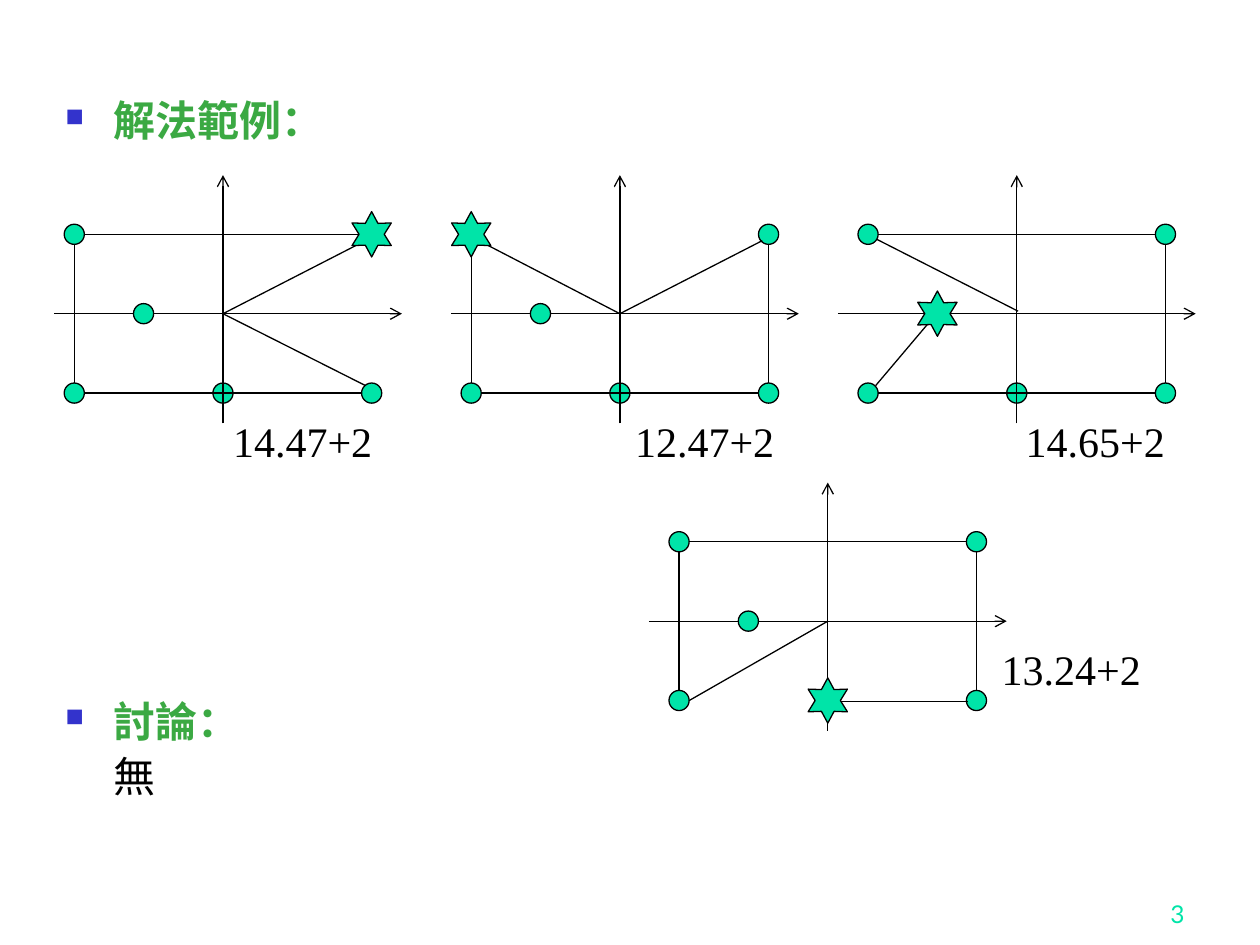
"""Build the slide of four route plots with their lengths and a discussion note."""
import math

from lxml import etree
from pptx import Presentation
from pptx import util as u
from pptx.dml import color
from pptx.enum import shapes, text
from pptx.oxml import ns

GREEN, MINT, BLACK, BLUE = "3BA943", "00E4A8", "000000", "3333CC"
SERIF = "Times New Roman"
rgb = color.RGBColor.from_string


def write(para, words, size=24, font=SERIF, ink=BLACK, bold=False, align=None):
    span = para.add_run()
    span.text = words
    span.font.size = u.Pt(size)
    span.font.name = font
    span.font.bold = bold
    span.font.color.rgb = rgb(ink)
    para.alignment = align


def draw_line(origin, ends, arrow=False):
    x, y = origin
    x1, y1, x2, y2 = ends
    line = page.shapes.add_connector(
        shapes.MSO_CONNECTOR.STRAIGHT,
        u.Inches(x + x1), u.Inches(y + y1), u.Inches(x + x2), u.Inches(y + y2))
    line.line.color.rgb = rgb(BLACK)
    line.line.width = u.Pt(0.75)
    if arrow:
        etree.SubElement(line.line._get_or_add_ln(), ns.qn("a:tailEnd"), type="arrow")
    etree.SubElement(line._element.spPr, ns.qn("a:effectLst"))


deck = Presentation()
deck.slide_width, deck.slide_height = u.Inches(10), u.Inches(7.5)
page = deck.slides.add_slide(deck.slide_layouts[6])

body = page.shapes.add_textbox(u.Inches(0.42), u.Inches(0.75), u.Inches(4), u.Inches(6.1))
body.text_frame.word_wrap = True
lines = [("解法範例：", True, 0), ("討論：", True, 317), ("無", False, 6)]
for number, (words, heading, gap) in enumerate(lines):
    para = body.text_frame.paragraphs[0] if number == 0 else body.text_frame.add_paragraph()
    props = para._p.get_or_add_pPr()
    props.set("marL", str(u.Inches(0.38)))
    para.line_spacing = 0.9
    para.space_before = u.Pt(gap)
    if heading:
        props.set("indent", str(u.Inches(-0.38)))
        tint = etree.SubElement(props, ns.qn("a:buClr"))
        etree.SubElement(tint, ns.qn("a:srgbClr"), val=BLUE)
        etree.SubElement(props, ns.qn("a:buSzPct"), val="60000")
        etree.SubElement(props, ns.qn("a:buChar"), char="■")
    write(para, words, ink=GREEN if heading else BLACK, bold=heading)

number_box = page.shapes.add_textbox(u.Inches(7.42), u.Inches(6.92), u.Inches(2.08), u.Inches(0.5))
number_box.text_frame.word_wrap = True
number_box.text_frame.vertical_anchor = text.MSO_ANCHOR.BOTTOM
write(number_box.text_frame.paragraphs[0], "3", size=14, font="Lato", ink=MINT,
      align=text.PP_ALIGN.RIGHT)

RADIUS = 0.08
NW, NE, SW, SE = (-1.18, -0.63), (1.18, -0.63), (-1.18, 0.63), (1.18, 0.63)
SOUTH, WEST = (0, 0.63), (-0.63, 0)
CITIES = [NW, NE, SW, SE, SOUTH, WEST]
TOP, BOTTOM = (-1.1, -0.63, 1.1, -0.63), (-1.1, 0.63, 1.1, 0.63)
LEFT, RIGHT = (-1.18, -0.55, -1.18, 0.55), (1.18, -0.55, 1.18, 0.55)
TO_NW, TO_NE, TO_SE = (0, 0, -1.12, -0.58), (0, 0, 1.13, -0.58), (0, 0, 1.13, 0.57)

plots = [
    ((1.77, 2.49), -1.34, NE, [TOP, LEFT, BOTTOM, TO_NE, TO_SE], "14.47+2", (1.85, 3.3)),
    ((4.92, 2.49), -1.34, NW, [LEFT, RIGHT, BOTTOM, TO_NW, TO_NE], "12.47+2", (5.04, 3.3)),
    ((8.07, 2.49), -1.42, WEST,
     [TOP, RIGHT, BOTTOM, (-1.11, -0.59, 0.01, -0.02), (-1.12, 0.57, -0.68, 0.05)],
     "14.65+2", (8.14, 3.3)),
    ((6.57, 4.93), -1.42, SOUTH,
     [TOP, LEFT, RIGHT, (0.08, 0.64, 1.11, 0.64), (-1.1, 0.63, 0, 0)],
     "13.24+2", (7.95, 5.11)),
]

for origin, axis_start, start_city, route, length, place in plots:
    marks = []
    draw_line(origin, (axis_start, 0, 1.42, 0), arrow=True)
    for dx, dy in CITIES:
        marks.append(page.shapes.add_shape(
            shapes.MSO_SHAPE.FLOWCHART_CONNECTOR,
            u.Inches(origin[0] + dx - RADIUS), u.Inches(origin[1] + dy - RADIUS),
            u.Inches(2 * RADIUS), u.Inches(2 * RADIUS)))
    draw_line(origin, (0, 0.87, 0, -1.1), arrow=True)
    for leg in route:
        draw_line(origin, leg)

    corners = []
    for step in range(12):
        reach = 0.1 if step % 2 else 0.18
        angle = math.radians(30 * step)
        corners.append((u.Inches(origin[0] + start_city[0] + reach * math.sin(angle)),
                        u.Inches(origin[1] + start_city[1] - reach * math.cos(angle))))
    outline = page.shapes.build_freeform(*corners[0], scale=1.0)
    outline.add_line_segments(corners[1:], close=True)
    marks.append(outline.convert_to_shape())

    for mark in marks:
        mark.shadow.inherit = False
        mark.fill.solid()
        mark.fill.fore_color.rgb = rgb(MINT)
        mark.line.color.rgb = rgb(BLACK)
        mark.line.width = u.Pt(0.75)

    box = page.shapes.add_textbox(
        u.Inches(place[0]), u.Inches(place[1]), u.Inches(1.3), u.Inches(0.38))
    frame = box.text_frame
    frame.word_wrap = True
    frame.margin_left = frame.margin_right = frame.margin_top = frame.margin_bottom = 0
    write(frame.paragraphs[0], length)

deck.save("out.pptx")
